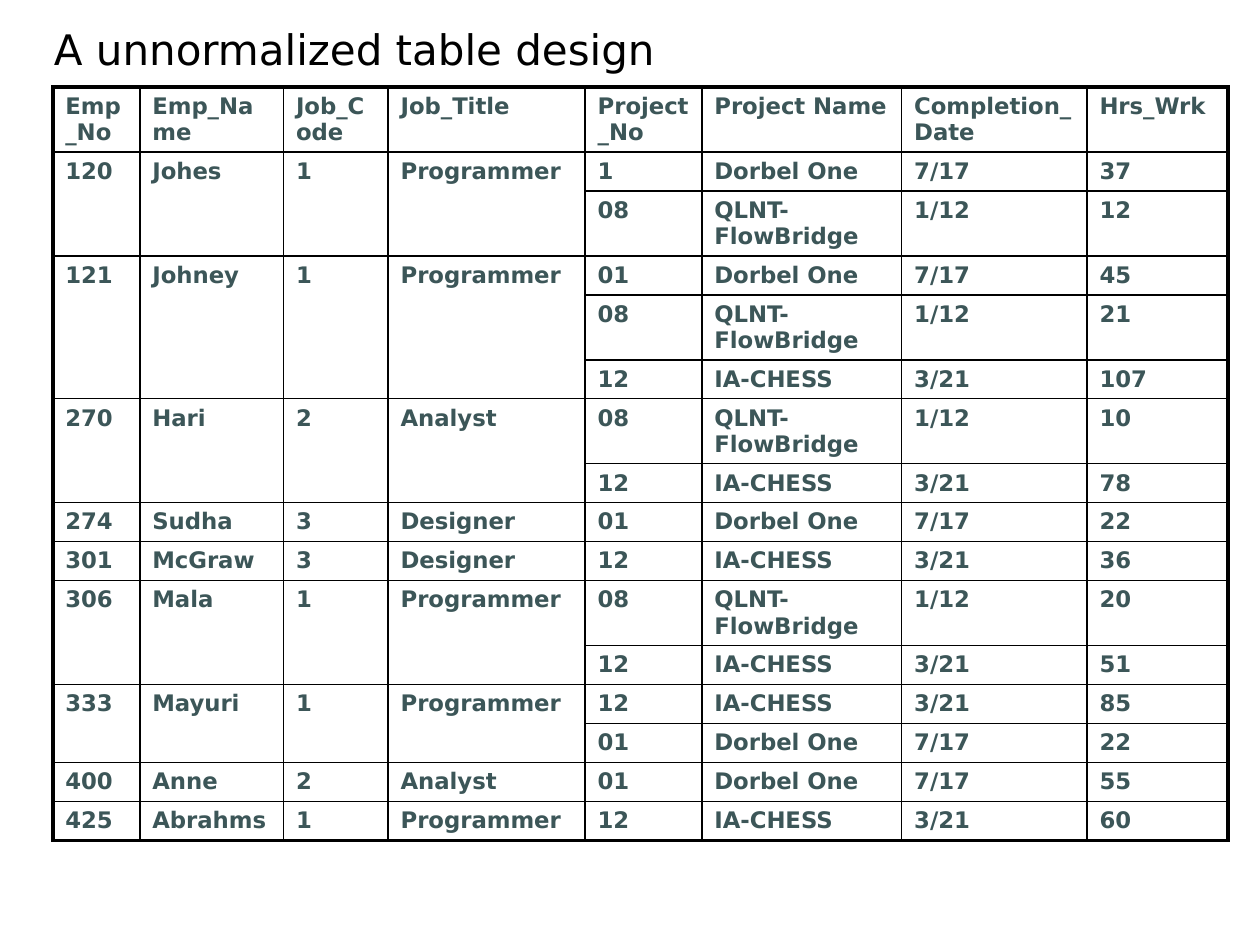
from lxml import etree
from pptx import Presentation
from pptx.dml.color import RGBColor
from pptx.enum.text import MSO_ANCHOR
from pptx.oxml.ns import qn
from pptx.util import Pt

BOTTOM = MSO_ANCHOR.BOTTOM
BLACK = RGBColor(0x00, 0x00, 0x00)
SLATE = RGBColor(0x3C, 0x56, 0x58)
FONT = "DejaVu Sans"
THIN, THICK = 1, 2.25
ONE_LINE, TWO_LINES = 22.27, 37.14

COL_WIDTHS = [49.7, 82.1, 59.8, 112.6, 66.7, 114.2, 105.9, 80.6]
HEADERS = ["Emp_No", "Emp_Name", "Job_Code", "Job_Title",
           "Project_No", "Project Name", "Completion_Date", "Hrs_Wrk"]

# Project name -> completion date
DORBEL, FLOW, CHESS = "Dorbel One", "QLNT-FlowBridge", "IA-CHESS"
COMPLETION = {DORBEL: "7/17", FLOW: "1/12", CHESS: "3/21"}

# Employee fields, then (project number, project name, hours) for each project
EMPLOYEES = [
    (["120", "Johes", "1", "Programmer"],
     [("1", DORBEL, "37"), ("08", FLOW, "12")]),
    (["121", "Johney", "1", "Programmer"],
     [("01", DORBEL, "45"), ("08", FLOW, "21"), ("12", CHESS, "107")]),
    (["270", "Hari", "2", "Analyst"],
     [("08", FLOW, "10"), ("12", CHESS, "78")]),
    (["274", "Sudha", "3", "Designer"], [("01", DORBEL, "22")]),
    (["301", "McGraw", "3", "Designer"], [("12", CHESS, "36")]),
    (["306", "Mala", "1", "Programmer"],
     [("08", FLOW, "20"), ("12", CHESS, "51")]),
    (["333", "Mayuri", "1", "Programmer"],
     [("12", CHESS, "85"), ("01", DORBEL, "22")]),
    (["400", "Anne", "2", "Analyst"], [("01", DORBEL, "55")]),
    (["425", "Abrahms", "1", "Programmer"], [("12", CHESS, "60")]),
]


def set_font(p, size, color, bold=False):
    p.font.name = FONT
    p.font.size = Pt(size)
    p.font.bold = bold
    p.font.color.rgb = color


def add_title(slide, text):
    tf = slide.shapes.add_textbox(Pt(2.2), Pt(12.2), Pt(526.3), Pt(33.8)).text_frame
    tf.word_wrap = True
    tf.vertical_anchor = BOTTOM
    tf.margin_left = Pt(28.6)
    p = tf.paragraphs[0]
    p.text = text
    set_font(p, 24, BLACK)


def set_border(cell, side, width):
    ln = etree.SubElement(cell._tc.get_or_add_tcPr(), qn(f"a:ln{side}"), w=str(Pt(width)))
    fill = etree.SubElement(ln, qn("a:solidFill"))
    etree.SubElement(fill, qn("a:srgbClr"), val=str(BLACK))


def style_cell(cell, outer_sides):
    for side in "LRTB":
        set_border(cell, side, THICK if side in outer_sides else THIN)
    cell.fill.background()
    cell.margin_bottom = Pt(2)


def write_row(table, row, first_col, values):
    for col, value in enumerate(values, first_col):
        p = table.cell(row, col).text_frame.paragraphs[0]
        p.text = value
        set_font(p, 13, SLATE, bold=True)


def add_project_table(slide):
    n_rows = 1 + sum(len(projects) for _, projects in EMPLOYEES)
    n_cols = len(HEADERS)
    heights = [TWO_LINES] + [TWO_LINES if name == FLOW else ONE_LINE
                             for _, projects in EMPLOYEES for _, name, _ in projects]
    table = slide.shapes.add_table(n_rows, n_cols, Pt(30.2), Pt(49.7),
                                   Pt(sum(COL_WIDTHS)), Pt(sum(heights))).table
    table.first_row = table.horz_banding = False
    for column, width in zip(table.columns, COL_WIDTHS):
        column.width = Pt(width)
    for row, height in zip(table.rows, heights):
        row.height = Pt(height)

    # Thin grid with a thick outer frame
    for r in range(n_rows):
        for c in range(n_cols):
            edges = {"L": c == 0, "R": c == n_cols - 1, "T": r == 0, "B": r == n_rows - 1}
            style_cell(table.cell(r, c), [side for side, outer in edges.items() if outer])

    # Employee fields span all of that employee's projects
    write_row(table, 0, 0, HEADERS)
    row = 1
    for fields, projects in EMPLOYEES:
        write_row(table, row, 0, fields)
        last = row + len(projects) - 1
        if last > row:
            for c in range(len(fields)):
                table.cell(row, c).merge(table.cell(last, c))
        for number, name, hours in projects:
            write_row(table, row, len(fields), [number, name, COMPLETION[name], hours])
            row += 1


def main():
    prs = Presentation()
    prs.slide_width, prs.slide_height = Pt(720), Pt(540)
    slide = prs.slides.add_slide(prs.slide_layouts[6])
    add_title(slide, "A unnormalized table design")
    add_project_table(slide)
    prs.save("out.pptx")


if __name__ == "__main__":
    main()
